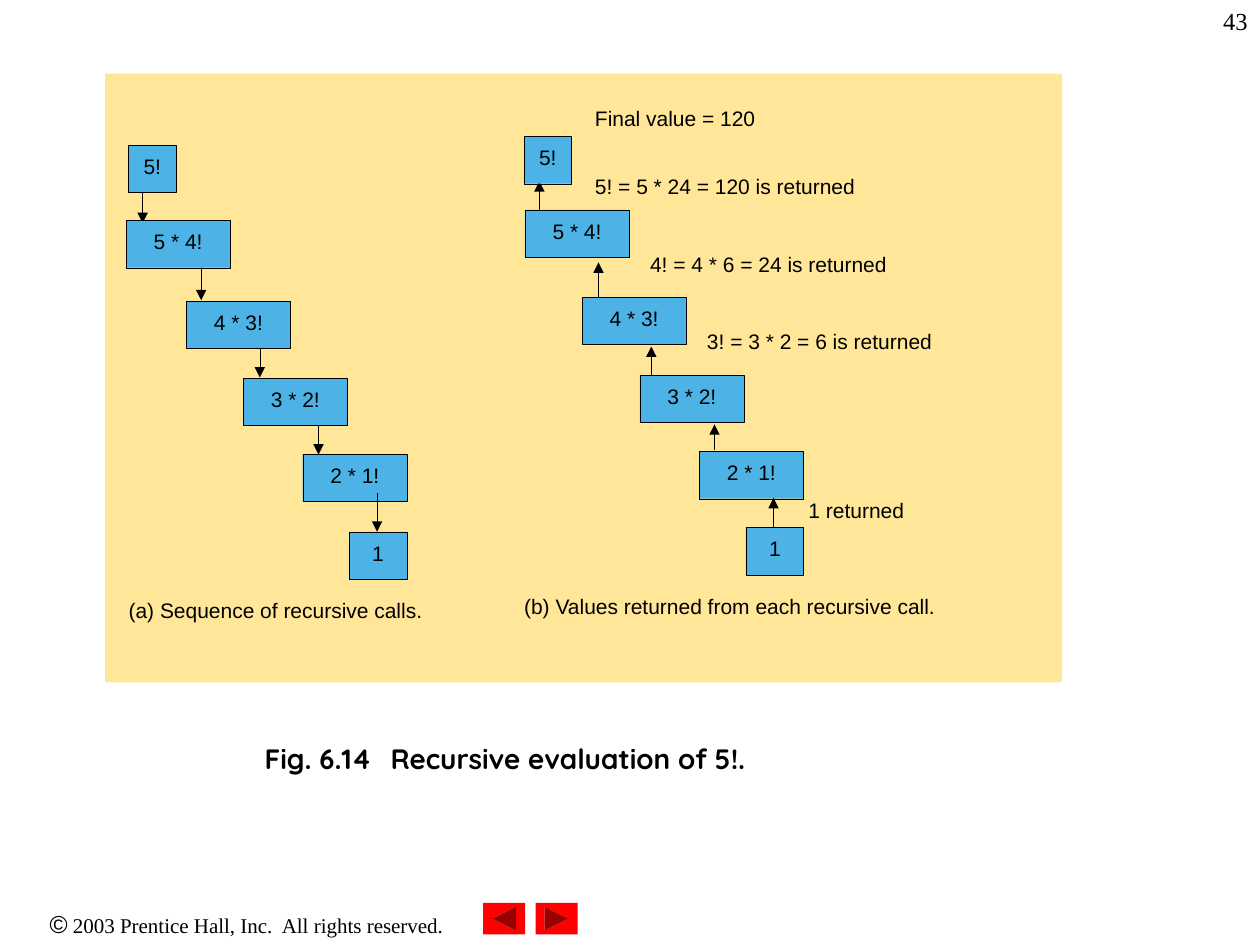
from lxml import etree
from pptx import Presentation
from pptx.dml.color import RGBColor
from pptx.enum import shapes, text
from pptx.oxml.ns import qn
from pptx.util import Pt

BLACK = RGBColor(0, 0, 0)
SAND = RGBColor(0xFF, 0xE6, 0x99)
BLUE = RGBColor(0x4D, 0xB3, 0xE6)
RED = RGBColor(0xFF, 0, 0)
SHAPE = shapes.MSO_SHAPE
ALIGN = text.PP_ALIGN
BOX_H = 27

CALL_BOXES = [
    ("5!", 1.5, 19, 27), ("5 * 4!", 0, 62, 59.5), ("4 * 3!", 34.5, 108, 59.5),
    ("3 * 2!", 67, 152, 59.5), ("2 * 1!", 101, 195.5, 59.5), ("1", 127.5, 240, 33),
]
CALL_ARROWS = [(9.5 + 33.5 * i, 41.5 + 44.1 * i, 63.5 + 44.1 * i) for i in range(5)]
CALL_LABELS = [("(a) Sequence of recursive calls.", 1.5, 281, 266)]

RETURN_BOXES = [
    ("5!", -0.5, 14, 27), ("5 * 4!", 0, 56, 59.5), ("4 * 3!", 32.6, 106, 59.5),
    ("3 * 2!", 65.6, 150.5, 59.5), ("2 * 1!", 99.6, 194, 59.5), ("1", 126.3, 237.5, 33),
]
RETURN_ARROWS = [
    (8.2, 61, 39.5), (42, 108, 86), (72.2, 153.5, 134), (108.3, 193, 178.5), (142, 237.5, 220.5),
]
RETURN_LABELS = [
    ("Final value = 120", 40, 0, 142),
    ("5! = 5 * 24 = 120 is returned", 40, 39, 241),
    ("4! = 4 * 6 = 24 is returned", 71.5, 83.6, 225),
    ("3! = 3 * 2 = 6 is returned", 104, 127.5, 217),
    ("1 returned", 162, 224, 85),
    ("(b) Values returned from each recursive call.", -0.5, 278.7, 307),
]


def style(font, name, size):
    """Set family, size and black colour on a font."""
    font.name, font.size = name, Pt(size)
    font.color.rgb = BLACK


def set_margins(tf, x, y):
    """Set equal side margins and equal top and bottom margins."""
    tf.margin_left = tf.margin_right = Pt(x)
    tf.margin_top = tf.margin_bottom = Pt(y)


def add_block(s, kind, x, y, w, h, fill):
    """Add a filled preset shape without line or shadow."""
    sp = s.shapes.add_shape(kind, Pt(x), Pt(y), Pt(w), Pt(h))
    sp.shadow.inherit = False
    sp.fill.solid()
    sp.fill.fore_color.rgb = fill
    sp.line.fill.background()
    return sp


def add_text(s, x, y, w, h):
    """Add a wrapping text box and return its frame."""
    tf = s.shapes.add_textbox(Pt(x), Pt(y), Pt(w), Pt(h)).text_frame
    tf.word_wrap = True
    return tf


def add_call_box(s, label, x, y, w):
    """Add one outlined blue box holding a call."""
    sp = add_block(s, SHAPE.RECTANGLE, x, y, w, BOX_H, BLUE)
    sp.line.color.rgb = BLACK
    sp.line.width = Pt(0.25)
    tf = sp.text_frame
    set_margins(tf, 0, 0)
    tf.margin_top = Pt(6.5)
    tf.vertical_anchor = text.MSO_ANCHOR.TOP
    p = tf.paragraphs[0]
    p.text, p.alignment, p.line_spacing = label, ALIGN.CENTER, 0.88
    style(p.font, "Arial", 12)


def add_arrow(s, x, start, end):
    """Add a thin vertical arrow from start to end."""
    cx = s.shapes.add_connector(shapes.MSO_CONNECTOR.STRAIGHT, Pt(x), Pt(start), Pt(x), Pt(end))
    cx.line.color.rgb = BLACK
    cx.line.width = Pt(0.25)
    etree.SubElement(cx.line._get_or_add_ln(), qn("a:tailEnd"), type="triangle")
    etree.SubElement(cx._element.spPr, qn("a:effectLst"))


def add_label(s, label, x, y, w):
    """Add one line of diagram text."""
    tf = add_text(s, x, y, w, 26)
    set_margins(tf, 0, 0)
    p = tf.paragraphs[0]
    p.text, p.line_spacing = label, 0.72
    style(p.font, "Arial", 12)


def add_staircase(s, left, top, boxes, arrows, labels):
    """Build one staircase, with the arrows above its fifth box only."""
    def place(box):
        label, x, y, w = box
        add_call_box(s, label, left + x, top + y, w)

    place(boxes[4])
    for x, start, end in arrows:
        add_arrow(s, left + x, top + start, top + end)
    for box in boxes[:4] + boxes[5:]:
        place(box)
    for label, x, y, w in labels:
        add_label(s, label, left + x, top + y, w)


def add_caption(s, x, y, w, h):
    """Move and format the title as the figure caption."""
    sp = s.shapes.title
    sp.left, sp.top, sp.width, sp.height = Pt(x), Pt(y), Pt(w), Pt(h)
    tf = sp.text_frame
    tf.word_wrap = True
    tf.auto_size = text.MSO_AUTO_SIZE.NONE
    tf.vertical_anchor = text.MSO_ANCHOR.TOP
    set_margins(tf, 7.2, 3.6)
    p = tf.paragraphs[0]
    p.text, p.alignment = "Fig. 6.14\tRecursive evaluation of 5!.", ALIGN.LEFT
    tabs = etree.SubElement(p._p.get_or_add_pPr(), qn("a:tabLst"))
    etree.SubElement(tabs, qn("a:tab"), pos=str(Pt(72)), algn="l")
    style(p.font, "Quicksand", 16)
    p.font.bold = True


def add_footer(s, x, y):
    """Add the copyright line and the two navigation buttons."""
    p = add_text(s, x, y, 282, 24.5).paragraphs[0]
    p.alignment = ALIGN.CENTER
    for part, name, size in (
        ("©", "Arial", 14),
        (" 2003 Prentice Hall, Inc.  All rights reserved.", "Times New Roman", 12),
    ):
        r = p.add_run()
        r.text = part
        style(r.font, name, size)
    add_block(s, SHAPE.ACTION_BUTTON_BACK_OR_PREVIOUS, x + 276, y, 24, 18, RED)
    add_block(s, SHAPE.ACTION_BUTTON_FORWARD_OR_NEXT, x + 306, y, 24, 18, RED)


def add_page_number(s, x, y, w, h):
    """Add the page number, right aligned."""
    p = add_text(s, x, y, w, h).paragraphs[0]
    p.text, p.alignment = "43", ALIGN.RIGHT
    style(p.font, "Times New Roman", 14)


def main():
    """Build the slide and save it."""
    prs = Presentation()
    prs.slide_width, prs.slide_height = Pt(720), Pt(540)
    s = prs.slides.add_slide(prs.slide_layouts[5])
    add_footer(s, 0, 516)
    add_caption(s, 144, 420, 300, 27)
    add_block(s, SHAPE.RECTANGLE, 60, 42, 547, 348, SAND)
    add_staircase(s, 72, 64, CALL_BOXES, CALL_ARROWS, CALL_LABELS)
    add_staircase(s, 300, 64, RETURN_BOXES, RETURN_ARROWS, RETURN_LABELS)
    add_page_number(s, 570, 0, 150, 36)
    prs.save("out.pptx")


if __name__ == "__main__":
    main()
